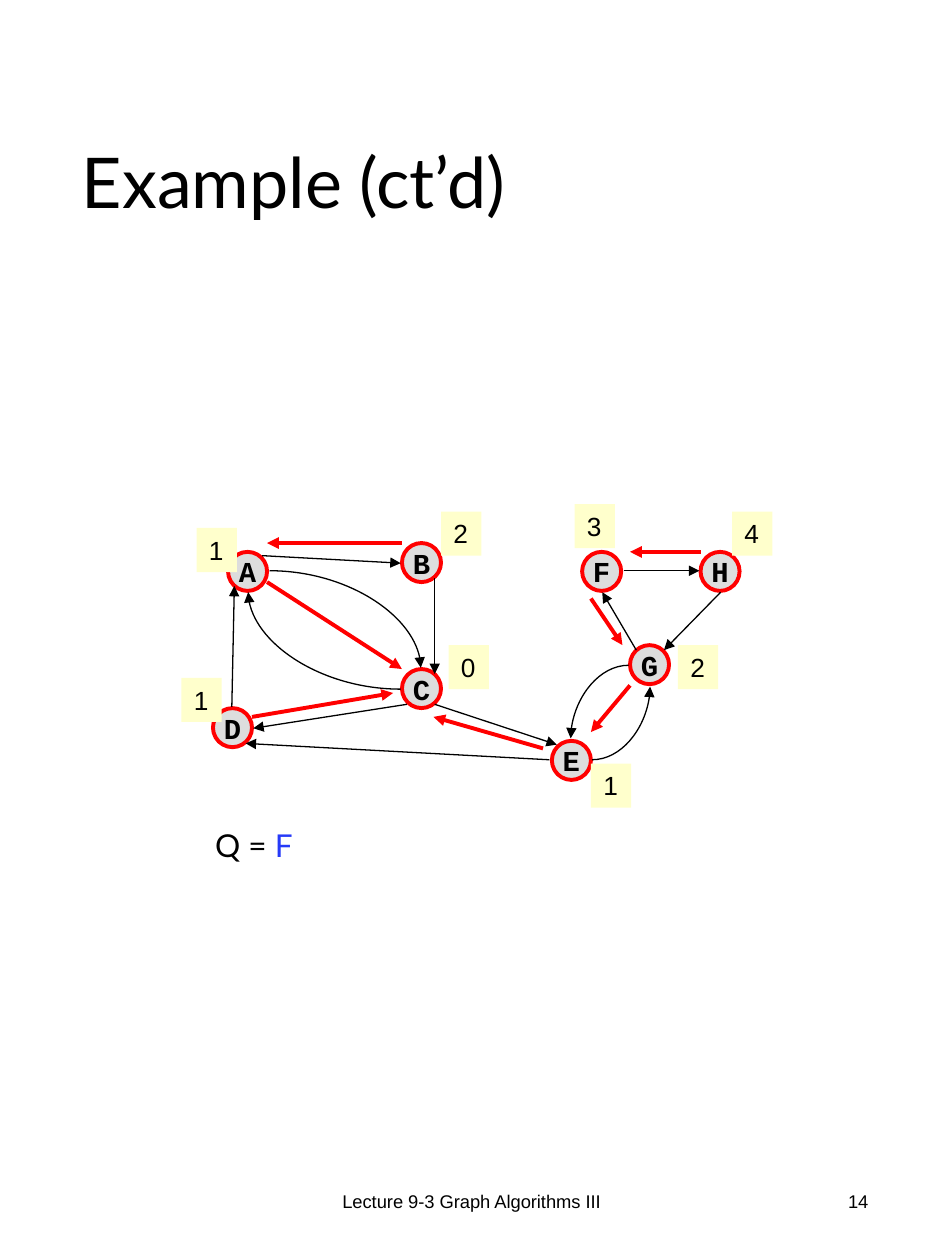
from lxml import etree
from pptx import Presentation
from pptx import util as u
from pptx.dml.color import RGBColor
from pptx.enum import shapes, text
from pptx.oxml import ns

COLORS = {"ink": "000000", "node": "DDDDDD", "path": "FF0000",
          "label": "FFFFCC", "queue": "263AF8"}
NODE_SIZE = 0.31
LABEL_SIZE = (0.32, 0.35)

NODES = {"A": (1.81, 4.38), "C": (3.19, 5.31), "B": (3.19, 4.31), "D": (1.69, 5.62),
         "F": (4.62, 4.38), "H": (5.56, 4.38), "G": (5, 5.12), "E": (4.38, 5.88)}
CURVED_EDGES = [
    ((2.14, 4.53), (3.34, 5.3)),
    ((3.18, 5.47), (1.97, 4.7)),
    ((4.99, 5.28), (4.53, 5.86)),
    ((4.7, 6.03), (5.16, 5.45)),
]
STRAIGHT_EDGES = [
    ((2.08, 4.41), (3.18, 4.47)),
    ((3.45, 4.59), (3.45, 5.35)),
    ((3.23, 5.59), (2.01, 5.78)),
    ((1.84, 5.61), (1.86, 4.65)),
    ((3.45, 5.59), (4.42, 5.91)),
    ((4.36, 6.03), (1.95, 5.9)),
    ((5.05, 5.16), (4.78, 4.7)),
    ((4.95, 4.53), (5.55, 4.53)),
    ((5.72, 4.7), (5.27, 5.16)),
]
PATH_ARROWS = [
    ((4.31, 5.94), (3.44, 5.69)),
    ((2, 5.69), (3.12, 5.5)),
    ((2.12, 4.62), (3.19, 5.31)),
    ((3.19, 4.31), (2.12, 4.31)),
    ((5, 5.44), (4.69, 5.81)),
    ((4.69, 4.75), (4.94, 5.12)),
    ((5.56, 4.38), (5, 4.38)),
]
DISTANCES = [("0", 3.56, 5.12), ("1", 4.69, 6.06), ("1", 1.56, 4.19), ("1", 1.44, 5.38),
             ("2", 3.5, 4.06), ("2", 5.38, 5.12), ("3", 4.56, 4), ("4", 5.81, 4.06)]


def rgb(name):
    return RGBColor.from_string(COLORS[name])


def inches(*values):
    return [u.Inches(v) for v in values]


def format_paragraph(p, font, size, align=text.PP_ALIGN.LEFT, bold=False):
    p.alignment = align
    p.font.name = font
    p.font.size = u.Pt(size)
    p.font.bold = bold
    p.font.color.rgb = rgb("ink")


def add_title(s, words):
    title = s.shapes.title
    title.left, title.top, title.width, title.height = inches(0.55, 0.51, 6.47, 1.93)
    tf = title.text_frame
    tf.text = words
    tf.auto_size = text.MSO_AUTO_SIZE.NONE
    tf.vertical_anchor = text.MSO_ANCHOR.MIDDLE
    p = tf.paragraphs[0]
    p.line_spacing = 0.9
    format_paragraph(p, "Lato", 40)


def add_footer(s, words, left, width, align):
    tf = s.shapes.add_textbox(*inches(left, 9.27, width, 0.53)).text_frame
    tf.word_wrap = True
    tf.vertical_anchor = text.MSO_ANCHOR.MIDDLE
    tf.text = words
    format_paragraph(tf.paragraphs[0], "Arial", 10.5, align)


def add_filled_shape(s, kind, words, box, fill, anchor):
    sp = s.shapes.add_shape(kind, *inches(*box))
    sp.shadow.inherit = False
    sp.fill.solid()
    sp.fill.fore_color.rgb = rgb(fill)
    tf = sp.text_frame
    tf.word_wrap = False
    tf.vertical_anchor = anchor
    tf.text = words
    return sp


def add_node(s, name, left, top):
    sp = add_filled_shape(s, shapes.MSO_SHAPE.OVAL, name, (left, top, NODE_SIZE, NODE_SIZE),
                          "node", text.MSO_ANCHOR.MIDDLE)
    sp.line.color.rgb = rgb("path")
    sp.line.width = u.Pt(2.25)
    format_paragraph(sp.text_frame.paragraphs[0], "Courier New", 16.5,
                     text.PP_ALIGN.CENTER, True)


def add_distance(s, value, left, top):
    sp = add_filled_shape(s, shapes.MSO_SHAPE.RECTANGLE, value, (left, top, *LABEL_SIZE),
                          "label", text.MSO_ANCHOR.TOP)
    sp.line.fill.background()
    format_paragraph(sp.text_frame.paragraphs[0], "Arial", 15)


def add_arrow(s, start, end, color="ink", width=0.75, curved=False):
    kind = shapes.MSO_CONNECTOR.CURVE if curved else shapes.MSO_CONNECTOR.STRAIGHT
    arrow = s.shapes.add_connector(kind, *inches(*start, *end))
    arrow.line.color.rgb = rgb(color)
    arrow.line.width = u.Pt(width)
    props = arrow._element.spPr
    if curved:
        props.find(ns.qn("a:prstGeom")).set("prst", "curvedConnector2")
    etree.SubElement(arrow.line._get_or_add_ln(), ns.qn("a:tailEnd"), type="triangle")
    etree.SubElement(props, ns.qn("a:effectLst"))


def add_queue(s, contents):
    tf = s.shapes.add_textbox(*inches(1.61, 6.51, 0.84, 0.4)).text_frame
    tf.word_wrap = False
    p = tf.paragraphs[0]
    p.add_run().text = "Q = "
    r = p.add_run()
    r.text = contents
    r.font.color.rgb = rgb("queue")
    format_paragraph(p, "Lato", 18)


def main():
    prs = Presentation()
    prs.slide_width, prs.slide_height = inches(7.5, 10)
    s = prs.slides.add_slide(prs.slide_layouts[5])
    add_footer(s, "Lecture 9-3 Graph Algorithms III", 2.48, 2.53, text.PP_ALIGN.CENTER)
    add_footer(s, "14", 5.3, 1.69, text.PP_ALIGN.RIGHT)
    add_title(s, "Example (ct’d)")
    for name, (left, top) in NODES.items():
        add_node(s, name, left, top)
    for start, end in CURVED_EDGES:
        add_arrow(s, start, end, curved=True)
    for start, end in STRAIGHT_EDGES:
        add_arrow(s, start, end)
    for distance in DISTANCES:
        add_distance(s, *distance)
    add_queue(s, "F")
    for start, end in PATH_ARROWS:
        add_arrow(s, start, end, "path", 2.25)
    prs.save("out.pptx")


if __name__ == "__main__":
    main()
